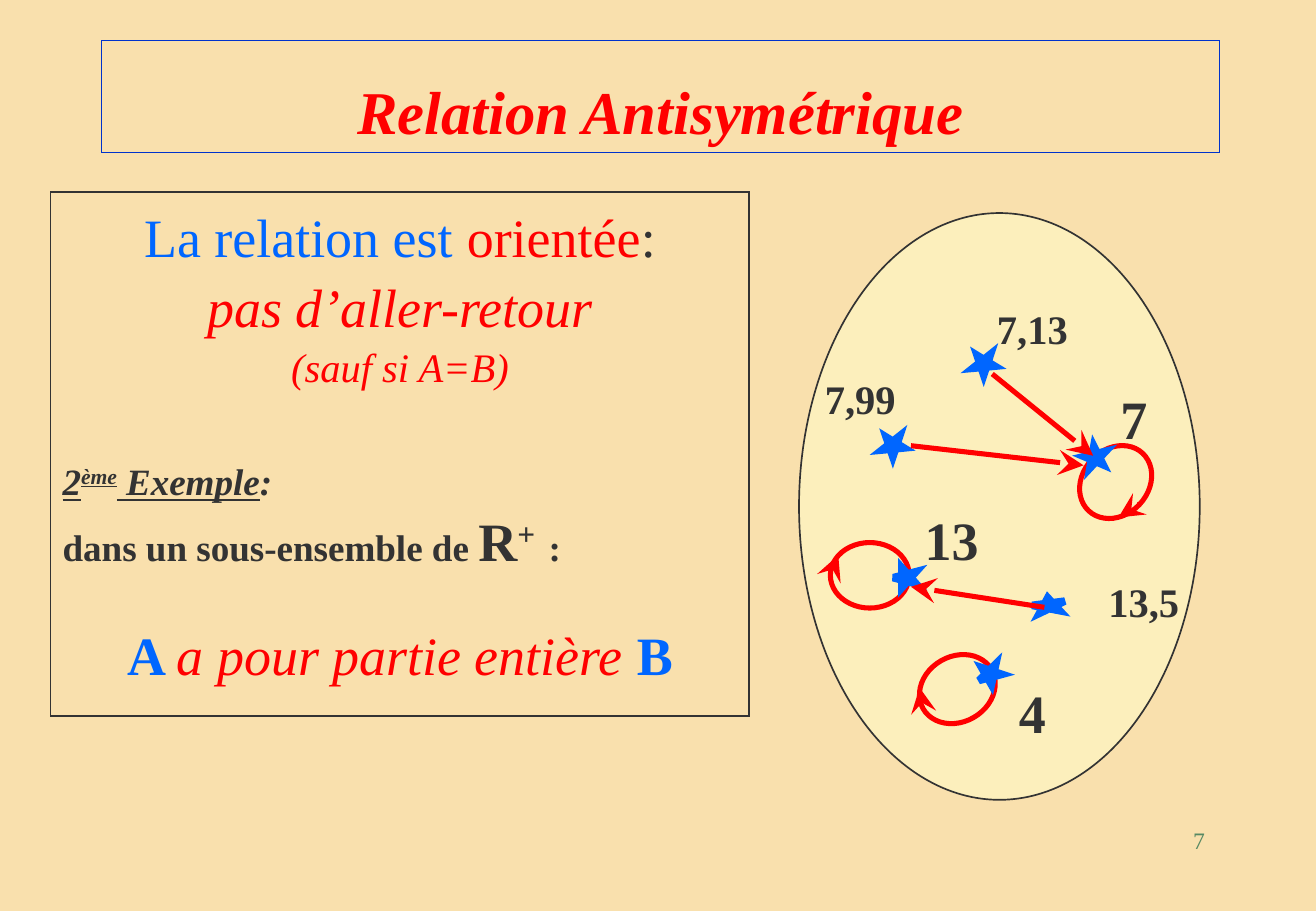
from dataclasses import dataclass

from pptx import Presentation
from pptx import util as u
from pptx.dml.color import RGBColor
from pptx.enum import shapes, text
from pptx.oxml.ns import qn
from lxml import etree


@dataclass(frozen=True)
class Theme:
    font: str = "Times New Roman"
    background: str = "F9E0AD"
    ink: str = "333333"
    red: str = "FF0000"
    blue: str = "0066FF"
    frame: str = "0033CC"
    set_fill: str = "FFFFCC"
    star_fill: str = "FFCCCC"
    number: str = "578963"
    title: int = 36
    large: int = 32
    medium: int = 24
    body: int = 22
    small: int = 14
    leading: float = 1.08


THEME = Theme()
LEFT, CENTER, RIGHT = text.PP_ALIGN.LEFT, text.PP_ALIGN.CENTER, text.PP_ALIGN.RIGHT


class Page:
    """Holds the theme and the current slide."""

    def __init__(self, deck, theme):
        self.theme = theme
        self.slide = deck.slides.add_slide(deck.slide_layouts[6])
        fill = self.slide.background.fill
        fill.solid()
        fill.fore_color.rgb = RGBColor.from_string(theme.background)

    def outline(self, shape, color, width):
        shape.line.color.rgb = RGBColor.from_string(color)
        shape.line.width = u.Pt(width)
        line = shape.line._ln
        etree.SubElement(line, qn("a:miter"), lim="800000")
        return line

    def text(self, place, paragraphs, line=None, anchor=text.MSO_ANCHOR.TOP):
        """Each paragraph is (format values, [(wording, font values), ...])."""
        box = self.slide.shapes.add_textbox(*map(u.Cm, place))
        frame = box.text_frame
        frame.word_wrap = True
        frame.vertical_anchor = anchor
        if line:
            self.outline(box, *line)
        for index, (layout, spans) in enumerate(paragraphs):
            para = frame.add_paragraph() if index else frame.paragraphs[0]
            for name, value in layout.items():
                setattr(para, name, value)
            for wording, values in spans:
                self.span(para, wording, values)

    def span(self, para, wording, values):
        span = para.add_run()
        span.text = wording
        values = {"name": self.theme.font, "size": self.theme.body,
                  "color": self.theme.ink, **values}
        span.font.color.rgb = RGBColor.from_string(values.pop("color"))
        values["size"] = u.Pt(values["size"])
        if values.pop("raised", False):
            span.font._element.set("baseline", "30000")
        for name, value in values.items():
            setattr(span.font, name, value)

    def shape(self, kind, center, size, turn, line, fill=None, opacity=None):
        (x, y), (width, height) = center, size
        place = x - width / 2, y - height / 2, width, height
        shape = self.slide.shapes.add_shape(kind, *map(u.Cm, place))
        shape.rotation = turn
        shape.shadow.inherit = False
        if fill:
            shape.fill.solid()
            shape.fill.fore_color.rgb = RGBColor.from_string(fill)
        else:
            shape.fill.background()
        if opacity:
            color = shape.fill._xPr.find(".//" + qn("a:srgbClr"))
            etree.SubElement(color, qn("a:alpha"), val=str(opacity * 1000))
        self.outline(shape, *line)

    def arrow(self, start, end):
        arrow = self.slide.shapes.add_connector(
            shapes.MSO_CONNECTOR.STRAIGHT, *map(u.Cm, start + end))
        line = self.outline(arrow, self.theme.red, 3)
        etree.SubElement(line, qn("a:tailEnd"), type="stealth", w="lg", len="lg")
        etree.SubElement(arrow._element.spPr, qn("a:effectLst"))


def add_texts(page):
    theme = page.theme
    large = {"size": theme.large}
    red = {"color": theme.red}
    blue = {"color": theme.blue}
    bold, italic = {"bold": True}, {"italic": True}
    centered = {"alignment": CENTER, "line_spacing": theme.leading}
    left = {**centered, "alignment": LEFT}
    heading = {**bold, **italic, "underline": True}

    # Slide number and title
    page.text((19.71, 17.15, 5.74, 1.27), [
        ({"alignment": RIGHT}, [("7", {"size": theme.small, "color": theme.number})])])
    page.text((2.12, 0.85, 23.39, 2.34), [
        ({"alignment": CENTER}, [("Relation Antisymétrique",
                                  {"size": theme.title, **red, **bold, **italic})])],
        line=(theme.frame, 0.75), anchor=text.MSO_ANCHOR.BOTTOM)

    # Definition and example
    page.text((1.06, 4.02, 14.61, 10.95), [
        (centered, [("La relation est ", {**large, **blue}),
                    ("orientée", {**large, **red}), (":", large)]),
        (centered, [("pas d’aller-retour", {**large, **red, **italic})]),
        (centered, [("(sauf si A=B)", {"size": theme.medium, **red, **italic})]),
        ({**left, "space_before": u.Pt(38)}, [
            ("2", heading), ("ème", {**heading, "raised": True}),
            (" Exemple", heading), (":", {**bold, **italic})]),
        (left, [("dans un sous-ensemble de ", bold), ("R", {**large, **bold}),
                ("+", {**large, **bold, "raised": True}),
                (" ", large), (":", bold)]),
        ({**centered, "space_before": u.Pt(26)}, [
            ("A ", {**large, **blue, **bold}),
            ("a pour partie entière ", {**large, **red, **italic}),
            ("B", {**large, **blue, **bold})]),
    ], line=(theme.ink, 1))


def add_diagram(page):
    theme = page.theme
    oval, star = shapes.MSO_SHAPE.OVAL, shapes.MSO_SHAPE.STAR_5_POINT
    wide_loop, tall_loop = (1.65, 1.37), (1.37, 1.65)
    wide_star, tall_star, flat_star = (0.48, 0.41), (0.41, 0.48), (0.69, 0.3)

    # The set
    page.shape(oval, (20.9, 10.59), (12.27, 8.38), 270, (theme.ink, 1),
               theme.set_fill, opacity=50)

    # Loops of the whole numbers, each with its arrowhead
    for center, size, turn, start, end in [
        ((18.19, 12.03), tall_loop, 270, (17.37, 12.01), (17.53, 11.61)),
        ((23.33, 10.08), wide_loop, 133.2, (23.83, 10.54), (23.39, 10.82)),
        ((20.02, 14.41), tall_loop, 240.2, (19.3, 14.81), (19.23, 14.38)),
    ]:
        page.shape(oval, center, size, turn, (theme.red, 3))
        page.arrow(start, end)

    # Elements
    for center, size, turn in [
        ((18.92, 12.08), tall_star, 270),
        ((21.93, 12.65), flat_star, 352.6),
        ((22.92, 9.58), wide_star, 133.2),
        ((20.68, 14.11), tall_star, 240.2),
        ((20.56, 7.59), wide_star, 321.4),
        ((18.66, 9.3), wide_star, 321.4),
    ]:
        page.shape(star, center, size, turn, (theme.blue, 4.5), theme.star_fill)

    # Arrows from each number to its whole part
    for start, end in [((21.84, 12.7), (19.05, 12.27)),
                       ((20.75, 7.82), (22.86, 9.53)),
                       ((19.05, 9.32), (22.66, 9.73))]:
        page.arrow(start, end)

    # Labels: whole numbers are larger
    for wording, x, y, width in [
        ("7", 22.65, 7.82, 2.12), ("7,13", 20.53, 6.15, 2.12),
        ("13,5", 22.86, 11.86, 2.12), ("13", 18.63, 10.36, 2.54),
        ("4", 20.53, 13.97, 2.12), ("7,99", 16.93, 7.62, 2.12),
    ]:
        size, height = (theme.medium, 1.27) if "," in wording else (theme.large, 1.6)
        page.text((x, y, width, height), [
            ({"alignment": CENTER, "line_spacing": theme.leading},
             [(wording, {"size": size, "bold": True})])])


def main():
    deck = Presentation()
    deck.slide_width, deck.slide_height = u.Cm(27.52), u.Cm(19.05)
    page = Page(deck, THEME)
    add_texts(page)
    add_diagram(page)
    deck.save("out.pptx")


if __name__ == "__main__":
    main()
